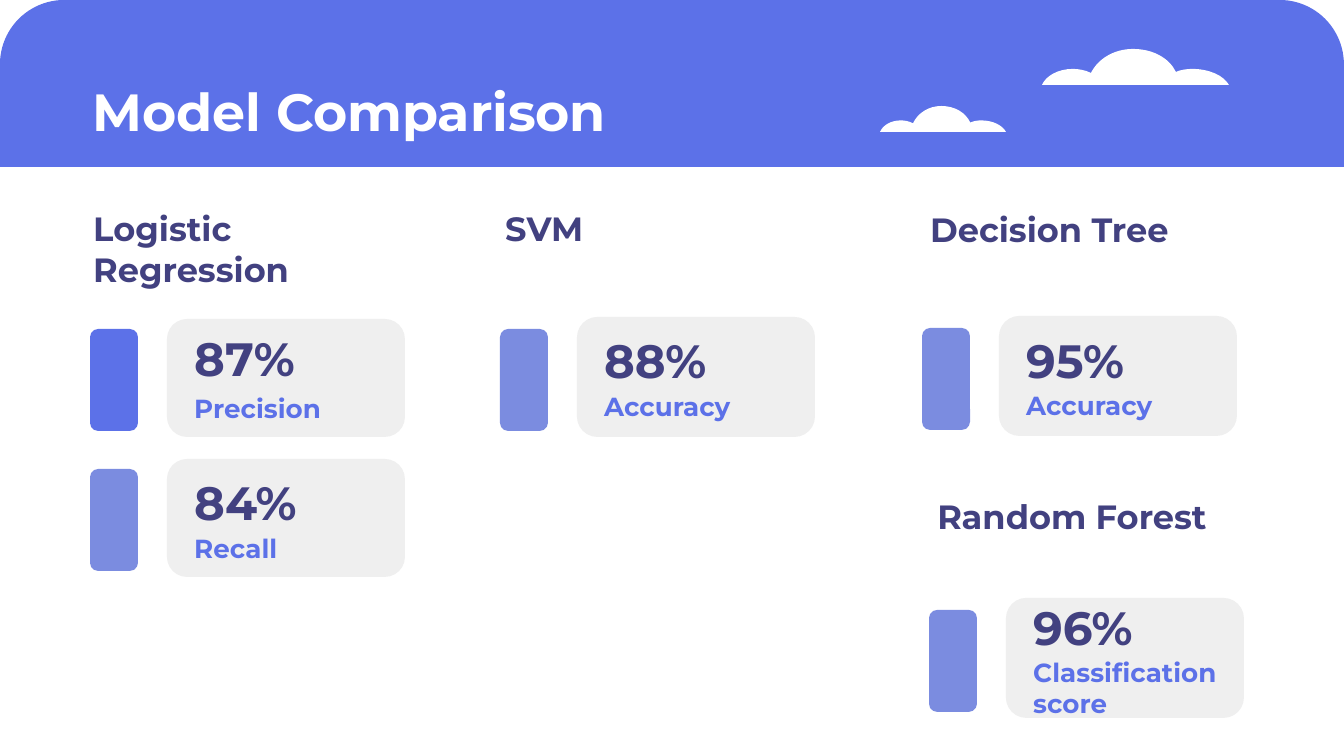
"""Build the model comparison slide."""
import dataclasses
import typing

import lxml.etree
import pptx
import pptx.dml.color
import pptx.enum.shapes
import pptx.enum.text
import pptx.oxml.ns
import pptx.util

EMU_PER_PIXEL = 914400 / 134.4
PRESET = pptx.enum.shapes.MSO_SHAPE


def color(code: str) -> pptx.dml.color.RGBColor:
    """Return the colour of a hexadecimal code."""
    return pptx.dml.color.RGBColor.from_string(code)


def emu(pixels: float) -> int:
    """Turn pixels into EMU."""
    return round(pixels * EMU_PER_PIXEL)


@dataclasses.dataclass(frozen=True)
class Theme:
    """Colours, font and type sizes."""
    font: str = "Montserrat"
    blue: str = "5C71E8"
    pale_blue: str = "7B8CE0"
    navy: str = "424180"
    gray: str = "EFEFEF"
    white: str = "FFFFFF"
    title: int = 28
    value: int = 25
    heading: int = 18
    label: int = 14


THEME = Theme()
INSET = 13.44


class Box(typing.NamedTuple):
    """A rectangle in pixels."""
    left: int
    top: int
    width: int
    height: int


@dataclasses.dataclass(frozen=True)
class Heading:
    """The name of a model."""
    text: str
    box: Box
    top_inset: float = INSET


@dataclasses.dataclass(frozen=True)
class Metric:
    """A score on a card with a bar at its left."""
    value: str
    label: str
    card: Box
    value_top: int
    label_top: int
    label_width: int = 476
    bar_color: str = THEME.pale_blue


HEADINGS = (
    Heading("Logistic Regression", Box(80, 195, 366, 91)),
    Heading("SVM", Box(492, 195, 366, 91)),
    Heading("Decision Tree", Box(917, 163, 366, 81), top_inset=46),
    Heading("Random Forest", Box(924, 482, 366, 81)),
)
METRICS = (
    Metric("87%", "Precision", Box(167, 319, 238, 118), 316, 379, bar_color=THEME.blue),
    Metric("84%", "Recall", Box(167, 459, 238, 118), 460, 519),
    Metric("88%", "Accuracy", Box(577, 317, 238, 120), 318, 377),
    Metric("95%", "Accuracy", Box(999, 316, 238, 120), 318, 376, 195),
    Metric("96%", "Classification score", Box(1006, 598, 238, 120), 585, 643, 218),
)
CLOUDS = (Box(1042, 49, 187, 36), Box(880, 106, 126, 26))
CLOUD_SIZE = (187, 36)
CLOUD_START = (0, 36)
CLOUD_CURVES = (
    ((4, 27), (16, 20), (31, 20)),
    ((36, 20), (43, 21), (49, 24)),
    ((56, 10), (72, 0), (91, 0)),
    ((111, 0), (127, 9), (134, 23)),
    ((138, 21), (145, 20), (150, 20)),
    ((168, 20), (182, 27), (187, 36)),
)


def set_values(target: typing.Any, values: dict[str, typing.Any]) -> None:
    """Set attributes of an object from a dict."""
    for name, value in values.items():
        setattr(target, name, value)


def place(shape: typing.Any, box: Box) -> None:
    """Move and size a shape."""
    set_values(shape, {name: emu(value) for name, value in box._asdict().items()})


def paint(shape: typing.Any, fill: str) -> None:
    """Give a shape a plain fill without line or shadow."""
    shape.shadow.inherit = False
    shape.fill.solid()
    shape.fill.fore_color.rgb = color(fill)
    shape.line.fill.background()


def add_panel(slide: typing.Any, preset: typing.Any, box: Box, fill: str,
              adjustment: float) -> None:
    """Add a preset shape with rounded corners."""
    shape = slide.shapes.add_shape(preset, *map(emu, box))
    shape.adjustments[0] = adjustment
    paint(shape, fill)


def write(shape: typing.Any, text: str, size: int, text_color: str,
          top_inset: float = INSET) -> None:
    """Write one bold paragraph into a shape."""
    frame = shape.text_frame
    frame.text = text
    set_values(frame, {
        "word_wrap": True,
        "auto_size": pptx.enum.text.MSO_AUTO_SIZE.NONE,
        "vertical_anchor": pptx.enum.text.MSO_ANCHOR.TOP,
        "margin_top": emu(top_inset),
        **{f"margin_{side}": emu(INSET) for side in ("left", "right", "bottom")},
    })
    paragraph = frame.paragraphs[0]
    paragraph.alignment = pptx.enum.text.PP_ALIGN.LEFT
    font = paragraph.runs[0].font
    set_values(font, {"name": THEME.font, "size": pptx.util.Pt(size), "bold": True})
    font.color.rgb = color(text_color)


def add_text(slide: typing.Any, box: Box, text: str, size: int, text_color: str,
             top_inset: float = INSET) -> None:
    """Add a text box."""
    write(slide.shapes.add_textbox(*map(emu, box)), text, size, text_color, top_inset)


def add_cloud(slide: typing.Any, box: Box) -> None:
    """Add a white cloud whose outline is made of cubic curves."""
    scale_x, scale_y = (size / unit for size, unit in zip(box[2:], CLOUD_SIZE))

    def local(point: tuple[int, int]) -> tuple[int, int]:
        """Return a point of the outline in EMU from the corner of the box."""
        return emu(point[0] * scale_x), emu(point[1] * scale_y)

    builder = slide.shapes.build_freeform(*local(CLOUD_START), scale=1.0)
    builder.add_line_segments([local(curve[-1]) for curve in CLOUD_CURVES], close=True)
    shape = builder.convert_to_shape(emu(box.left), emu(box.top))
    qualified = pptx.oxml.ns.qn
    lines = list(shape.element.iter(qualified("a:lnTo")))
    for line, curve in zip(lines, CLOUD_CURVES):
        cubic = lxml.etree.Element(qualified("a:cubicBezTo"))
        for x, y in map(local, curve):
            lxml.etree.SubElement(cubic, qualified("a:pt"), x=str(x), y=str(y))
        line.getparent().replace(line, cubic)
    paint(shape, THEME.white)


def add_metric(slide: typing.Any, metric: Metric) -> None:
    """Add the card, bar, value and label of a metric."""
    card = metric.card
    bar = Box(card.left - 77, card.top + card.height - 108, 48, 102)
    for box, fill in ((card, THEME.gray), (bar, metric.bar_color)):
        add_panel(slide, PRESET.ROUNDED_RECTANGLE, box, fill, 0.17)
    left = card.left + 14
    add_text(slide, Box(left, metric.value_top, 270, 53), metric.value,
             THEME.value, THEME.navy)
    add_text(slide, Box(left, metric.label_top, metric.label_width, 53), metric.label,
             THEME.label, THEME.blue)


def main() -> None:
    """Build and save the presentation."""
    presentation = pptx.Presentation()
    set_values(presentation, {"slide_width": emu(1344), "slide_height": emu(756)})
    slide = presentation.slides.add_slide(presentation.slide_layouts[5])
    add_panel(slide, PRESET.ROUND_2_SAME_RECTANGLE, Box(0, 0, 1344, 167), THEME.blue, 0.385)
    for cloud in CLOUDS:
        add_cloud(slide, cloud)
    title = slide.shapes.title
    title.element.getparent().append(title.element)
    place(title, Box(79, 66, 675, 85))
    write(title, "Model Comparison", THEME.title, THEME.white)
    for heading in HEADINGS:
        add_text(slide, heading.box, heading.text, THEME.heading, THEME.navy,
                 heading.top_inset)
    for metric in METRICS:
        add_metric(slide, metric)
    presentation.save("out.pptx")


main()
